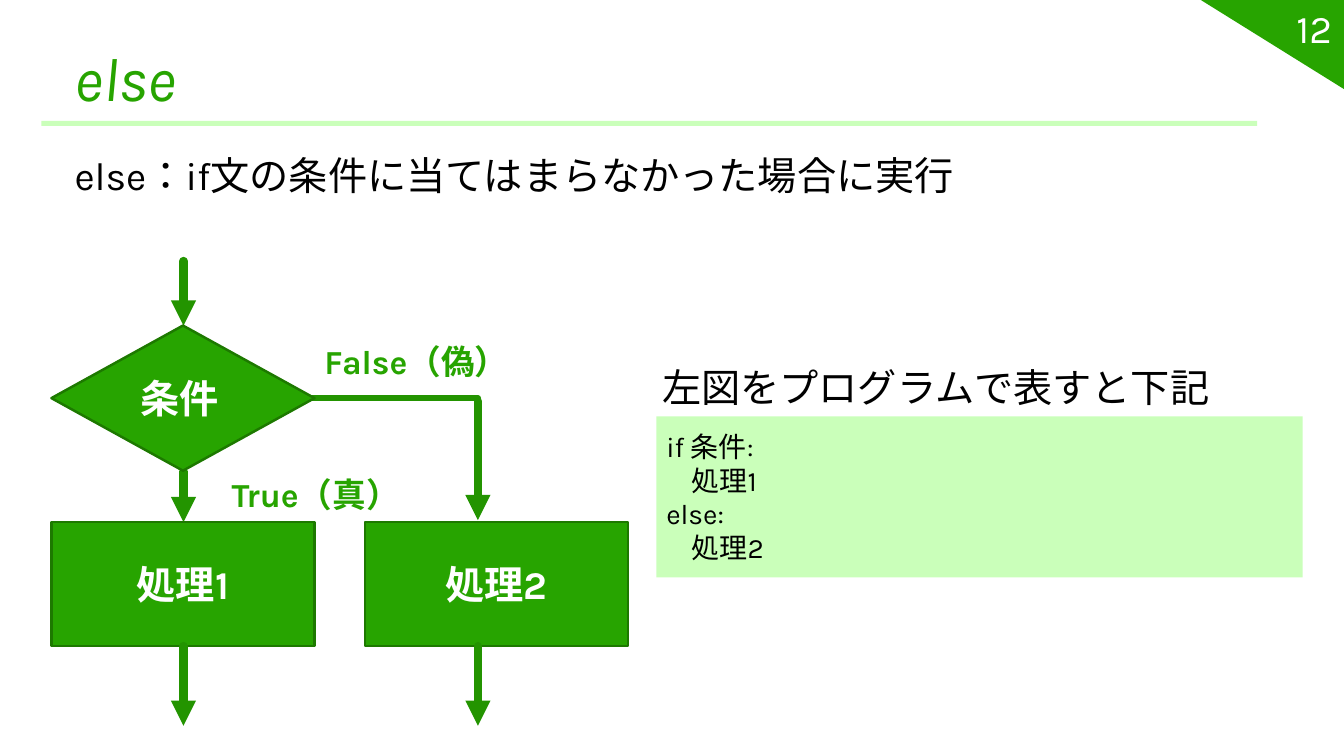
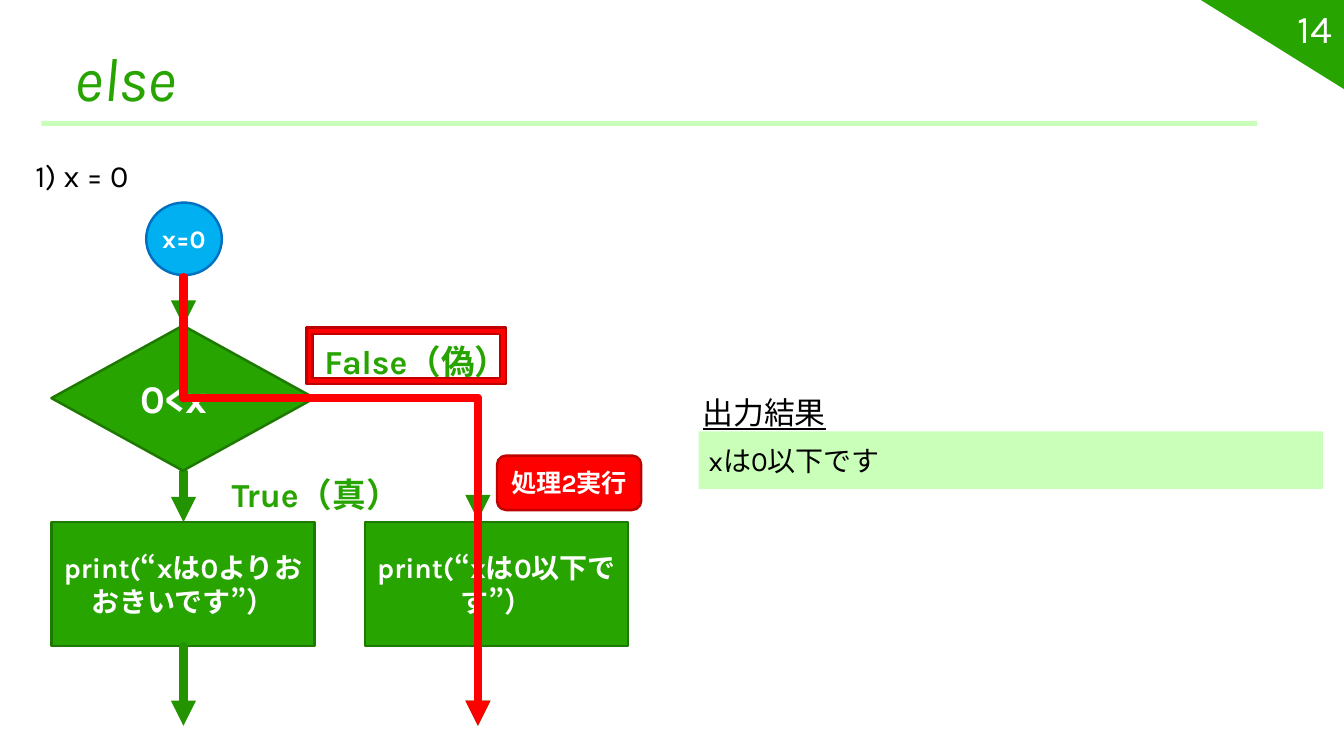
from lxml import etree
from pptx import Presentation
from pptx.dml.color import RGBColor
from pptx.enum.lang import MSO_LANGUAGE_ID
from pptx.enum.shapes import MSO_CONNECTOR, MSO_SHAPE
from pptx.enum.text import MSO_ANCHOR, MSO_AUTO_SIZE, PP_ALIGN
from pptx.oxml.ns import qn
from pptx.util import Inches, Pt

STRAIGHT = MSO_CONNECTOR.STRAIGHT
RECT, OVAL = MSO_SHAPE.RECTANGLE, MSO_SHAPE.OVAL
FRAME, ROUNDED = MSO_SHAPE.FRAME, MSO_SHAPE.ROUNDED_RECTANGLE
TRIANGLE = MSO_SHAPE.RIGHT_TRIANGLE
DECISION, PROCESS = MSO_SHAPE.FLOWCHART_DECISION, MSO_SHAPE.FLOWCHART_PROCESS
LEFT, CENTER, RIGHT = PP_ALIGN.LEFT, PP_ALIGN.CENTER, PP_ALIGN.RIGHT
TOP, MIDDLE, BOTTOM = MSO_ANCHOR.TOP, MSO_ANCHOR.MIDDLE, MSO_ANCHOR.BOTTOM
JAPANESE = MSO_LANGUAGE_ID.JAPANESE

color = RGBColor.from_string
FONT = "Karla"
GREEN, DARK_GREEN, ARROW_GREEN, PALE_GREEN = "27A400", "1D7900", "239400", "CAFFBA"
RED, DARK_RED, BLUE, DARK_BLUE = "FF0000", "C00000", "00B0F0", "0070C0"
WHITE, BLACK = "FFFFFF", "000000"
TRUE_X, FALSE_X = 1.82, 4.74
BRANCH_Y, PROCESS_Y, END_Y = 3.95, 5.18, 7.2


def format_box(sp, at, text="", size=28, ink=BLACK, fill=None, line=None,
               align=LEFT, anchor=TOP, spacing=1.0, **font):
    """Place a shape, text box or placeholder and set its colours and text."""
    sp.left, sp.top, sp.width, sp.height = [Inches(v) for v in at]
    if fill:
        sp.shadow.inherit = False
        sp.fill.solid()
        sp.fill.fore_color.rgb = color(fill)
        if line:
            sp.line.color.rgb = color(line)
            sp.line.width = Pt(1.75)
        else:
            sp.line.fill.background()
    if not text:
        return
    tf = sp.text_frame
    tf.word_wrap = True
    tf.auto_size = MSO_AUTO_SIZE.NONE
    tf.vertical_anchor = anchor
    for i, words in enumerate(text.split("\n")):
        p = tf.add_paragraph() if i else tf.paragraphs[0]
        if sp.is_placeholder:
            pPr = p._p.get_or_add_pPr()
            pPr.set("marL", "0")
            pPr.set("indent", "0")
            etree.SubElement(pPr, qn("a:buNone"))
        p.alignment, p.line_spacing, p.space_before = align, spacing, Pt(0)
        r = p.add_run()
        r.text = words
        r.font.color.rgb = color(ink)
        values = {"name": FONT, "size": Pt(size), "language_id": JAPANESE, **font}
        for name, value in values.items():
            setattr(r.font, name, value)


def add_line(s, x1, y1, x2, y2, ink=ARROW_GREEN, width=6, arrow=True):
    c = s.shapes.add_connector(STRAIGHT, *[Inches(v) for v in (x1, y1, x2, y2)])
    c.line.color.rgb = color(ink)
    c.line.width = Pt(width)
    ln = c.line._get_or_add_ln()
    ln.set("cap", "rnd")
    if arrow:
        etree.SubElement(ln, qn("a:tailEnd"), type="triangle")
    etree.SubElement(c._element.spPr, qn("a:effectLst"))


prs = Presentation()
prs.slide_width, prs.slide_height = Inches(13.33), Inches(7.5)

pages = [
    {"number": "12", "lead": "else：if文の条件に当てはまらなかった場合に実行",
     "lead_at": (0.64, 1.22, 12.06, 0.81), "lead_size": 28,
     "condition": "条件", "steps": ("処理1", "処理2"), "step_size": 28},
    {"number": "14", "lead": "1) x = 0",
     "lead_at": (0.25, 1.32, 12.8, 0.72), "lead_size": 22,
     "condition": "0<x", "step_size": 20,
     "steps": ("print(“xは0よりおおきいです”）", "print(“xは0以下です”）")},
]

# Shared frame and flowchart
for page in pages:
    s = prs.slides.add_slide(prs.slide_layouts[1])
    corner = s.shapes.add_shape(TRIANGLE, 0, 0, 0, 0)
    format_box(corner, (11.91, 0, 1.43, 0.89), fill=GREEN)
    corner.rotation = 180
    format_box(s.shapes.add_shape(RECT, 0, 0, 0, 0), (0.41, 1.2, 12.06, 0.05),
               fill=PALE_GREEN)
    format_box(s.shapes.title, (0.64, 0.29, 12.06, 0.89), "else", 44, GREEN,
               anchor=BOTTOM, italic=True)
    format_box(s.placeholders[1], page["lead_at"], page["lead"], page["lead_size"],
               spacing=1.5)
    format_box(s.shapes.add_textbox(0, 0, 0, 0), (11.43, 0.08, 1.88, 0.4),
               page["number"], 28, WHITE, align=RIGHT, anchor=MIDDLE)

    add_line(s, TRUE_X, 4.68, TRUE_X, PROCESS_Y)
    add_line(s, 2.71, BRANCH_Y, FALSE_X, BRANCH_Y, width=4.5, arrow=False)
    add_line(s, FALSE_X, 3.98, FALSE_X, 5.16)
    add_line(s, TRUE_X, 2.59, TRUE_X, 3.23)
    format_box(s.shapes.add_shape(DECISION, 0, 0, 0, 0), (0.51, 3.23, 2.61, 1.44),
               fill=GREEN, line=DARK_GREEN)
    for left, text in zip((0.51, 3.62), page["steps"]):
        format_box(s.shapes.add_shape(PROCESS, 0, 0, 0, 0),
                   (left, PROCESS_Y, 2.61, 1.23), text, page["step_size"], WHITE,
                   GREEN, DARK_GREEN, CENTER, MIDDLE, bold=True)
    for x in (TRUE_X, FALSE_X):
        add_line(s, x, 6.41, x, END_Y)
    for at, text, size, ink in (
            ((3.12, 3.33, 2.2, 0.5), "False（偽）", 24, GREEN),
            ((2.2, 4.65, 1.95, 0.5), "True（真）", 24, GREEN),
            ((1.29, 3.66, 1.52, 0.57), page["condition"], 28, WHITE)):
        format_box(s.shapes.add_textbox(0, 0, 0, 0), at, text, size, ink, bold=True)

syntax, example = prs.slides

# Syntax of else
format_box(syntax.shapes.add_shape(RECT, 0, 0, 0, 0), (6.51, 4.13, 6.41, 1.6),
           "if 条件:\n    処理1\nelse:\n    処理2", 20, fill=PALE_GREEN, anchor=MIDDLE)
format_box(syntax.shapes.add_textbox(0, 0, 0, 0), (6.47, 3.32, 6.5, 0.81),
           "左図をプログラムで表すと下記", 28, spacing=1.5)

# Path taken when x = 0
format_box(example.shapes.add_shape(OVAL, 0, 0, 0, 0), (1.45, 2.01, 0.75, 0.72),
           fill=BLUE, line=DARK_BLUE)
format_box(example.shapes.add_textbox(0, 0, 0, 0), (1.51, 2.17, 0.81, 0.4),
           "x=0", 18, WHITE, bold=True)
add_line(example, TRUE_X, 2.75, TRUE_X, BRANCH_Y, RED, arrow=False)
add_line(example, TRUE_X, BRANCH_Y, FALSE_X, BRANCH_Y, RED, arrow=False)
add_line(example, FALSE_X, BRANCH_Y, FALSE_X, END_Y, RED)
highlight = example.shapes.add_shape(FRAME, 0, 0, 0, 0)
format_box(highlight, (3.04, 3.25, 1.98, 0.56), fill=RED, line=DARK_RED)
highlight.adjustments[0] = 0.11
format_box(example.shapes.add_shape(ROUNDED, 0, 0, 0, 0), (4.93, 4.52, 1.43, 0.54),
           "処理2実行", 18, WHITE, RED, DARK_RED, CENTER, MIDDLE, bold=True)
format_box(example.shapes.add_shape(RECT, 0, 0, 0, 0), (6.93, 4.28, 6.19, 0.57),
           "xは0以下です", 20, fill=PALE_GREEN, anchor=MIDDLE)
format_box(example.shapes.add_textbox(0, 0, 0, 0), (6.87, 3.67, 2.2, 0.72),
           "出力結果", 22, spacing=1.5, underline=True)

prs.save("out.pptx")
